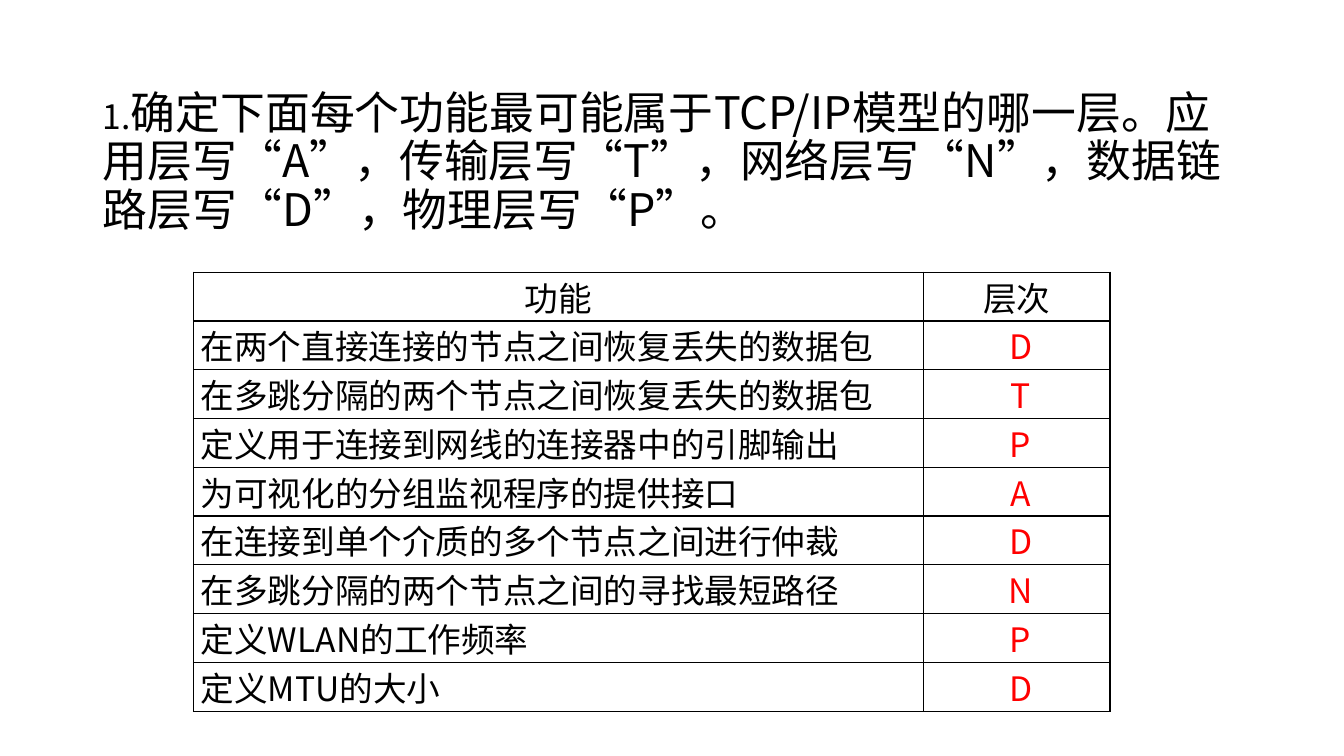
from pptx import Presentation, util as u
from pptx.dml.color import RGBColor
from pptx.enum import text
from pptx.oxml import parse_xml
from pptx.oxml.ns import nsdecls

FONT = "Noto Sans CJK SC"
BLACK, RED = "000000", "FF0000"
WIDTH, HEIGHT = 13.33, 7.5
QUESTION = [
    ("1.", 24),
    ("确定下面每个功能最可能属于TCP/IP模型的哪一层。应用层写“A”，传输层写“T”，"
     "网络层写“N”，数据链路层写“D”，物理层写“P”。", 32),
]
HEADER = ("功能", "层次")
ANSWERS = [
    ("在两个直接连接的节点之间恢复丢失的数据包", "D"),
    ("在多跳分隔的两个节点之间恢复丢失的数据包", "T"),
    ("定义用于连接到网线的连接器中的引脚输出", "P"),
    ("为可视化的分组监视程序的提供接口", "A"),
    ("在连接到单个介质的多个节点之间进行仲裁", "D"),
    ("在多跳分隔的两个节点之间的寻找最短路径", "N"),
    ("定义WLAN的工作频率", "P"),
    ("定义MTU的大小", "D"),
]
COLUMNS = (7.24, 1.85)
ROW_HEIGHT = 0.48
CENTER, JUSTIFY = text.PP_ALIGN.CENTER, text.PP_ALIGN.JUSTIFY


def color(value):
    return RGBColor.from_string(value)


def style(font, size, value=BLACK):
    font.size = u.Pt(size)
    font.name = FONT
    font.fill.solid()
    font.fill.fore_color.rgb = color(value)
    font._element.append(parse_xml(f'<a:ea {nsdecls("a")} typeface="{FONT}"/>'))


def outline(cell):
    properties = cell._tc.get_or_add_tcPr()
    for side in "LRTB":
        properties.append(parse_xml(
            f'<a:ln{side} {nsdecls("a")} w="12700"><a:solidFill>'
            f'<a:srgbClr val="{BLACK}"/></a:solidFill></a:ln{side}>'))
    cell.fill.background()


def fill_cell(cell, words, align, value):
    cell.margin_left = cell.margin_right = u.Inches(0.07)
    cell.margin_top = cell.margin_bottom = 0
    para = cell.text_frame.paragraphs[0]
    para.alignment = align
    span = para.add_run()
    span.text = words
    style(span.font, 24, value)
    outline(cell)


deck = Presentation()
deck.slide_width, deck.slide_height = u.Inches(WIDTH), u.Inches(HEIGHT)
page = deck.slides.add_slide(deck.slide_layouts[1])
title = page.shapes.title
title._element.getparent().remove(title._element)

body = page.placeholders[1]
body.left, body.top = u.Inches(0.92), u.Inches(0.85)
body.width, body.height = u.Inches(11.5), u.Inches(5.81)
frame = body.text_frame
frame.auto_size = text.MSO_AUTO_SIZE.NONE
frame.vertical_anchor = text.MSO_ANCHOR.TOP
para = frame.paragraphs[0]
para.line_spacing, para.space_before = 0.9, u.Pt(10)
settings = para._p.get_or_add_pPr()
settings.set("marL", "0")
settings.set("indent", "0")
settings.append(parse_xml(f'<a:buNone {nsdecls("a")}/>'))
for words, size in QUESTION:
    span = para.add_run()
    span.text = words
    style(span.font, size)

rows = [HEADER] + ANSWERS
table = page.shapes.add_table(
    len(rows), len(COLUMNS), u.Inches(1.92), u.Inches(2.7),
    u.Inches(sum(COLUMNS)), u.Inches(ROW_HEIGHT * len(rows))).table
table.first_row = table.horz_banding = False
for column, width in zip(table.columns, COLUMNS):
    column.width = u.Inches(width)
for index, (task, layer) in enumerate(rows):
    heading = index == 0
    fill_cell(table.cell(index, 0), task, CENTER if heading else JUSTIFY, BLACK)
    fill_cell(table.cell(index, 1), layer if heading else "\u00a0" + layer,
              CENTER, BLACK if heading else RED)

deck.save("out.pptx")
